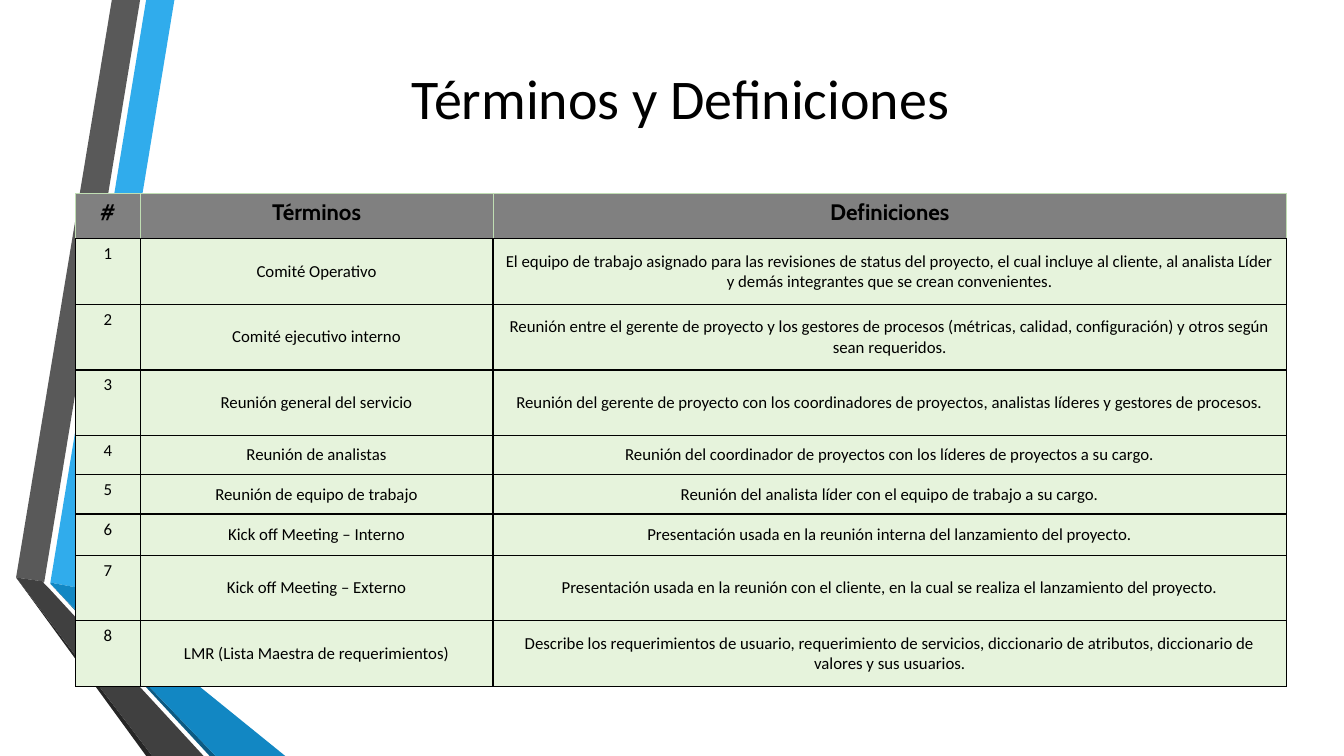
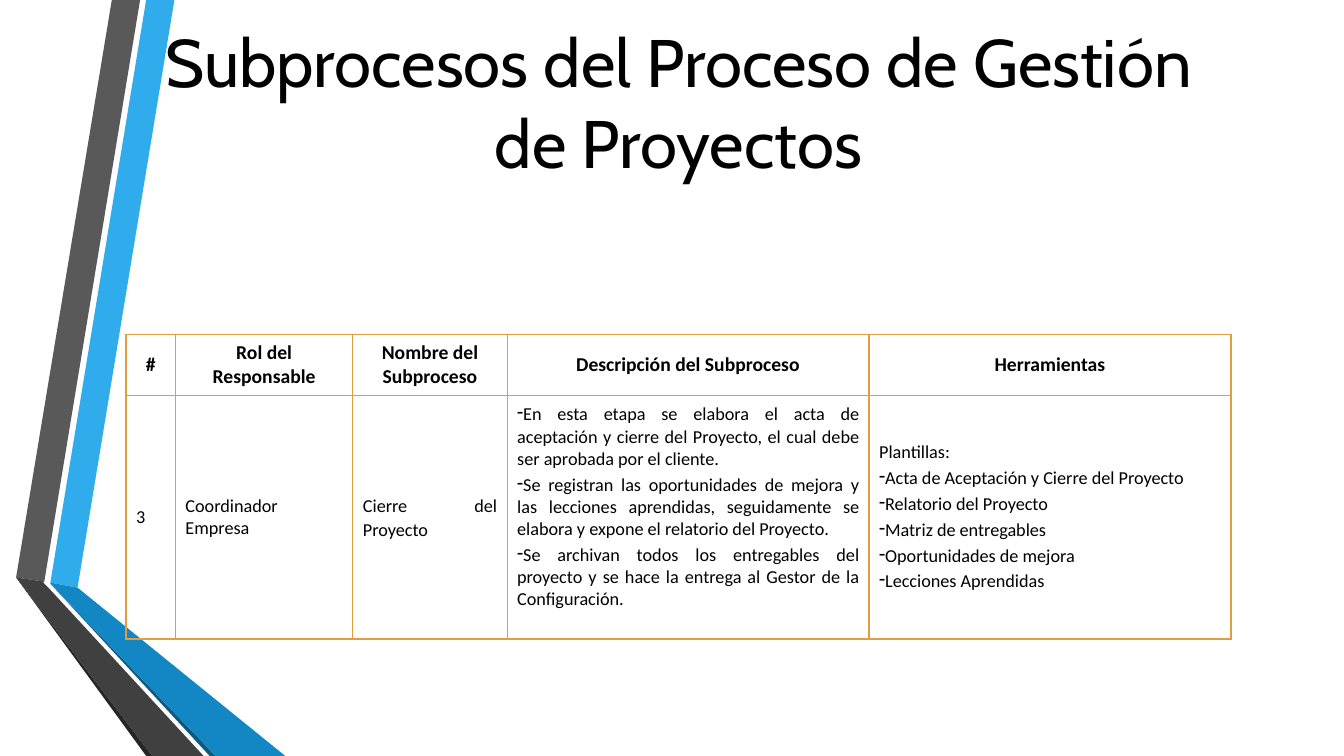
"""Build two slides with a folded ribbon, a title and a bordered table."""
import pptx
import pptx.dml.color
import pptx.enum.text
import pptx.oxml
import pptx.oxml.ns
import pptx.util

PX = 9144
BLACK = "000000"
ALIGN = pptx.enum.text.PP_ALIGN
ANCHOR = pptx.enum.text.MSO_ANCHOR

RIBBON = [
    ("30ACEC", [(50, 578), (77, 583), (173, 0), (145, 0)]),
    ("595959", [(139, 0), (111, 0), (16, 573), (44, 577)]),
    ("262626", [(16, 573), (145, 750), (151, 750)]),
    ("0C5A82", [(50, 579), (208, 750), (214, 750)]),
    ("1287C3", [(50, 579), (214, 750), (283, 750), (77, 583), (50, 578)]),
    ("404040", [(202, 750), (48, 583), (43, 578), (44, 577), (16, 573), (151, 750)]),
]

TERMS = [
    ["#", "Términos", "Definiciones"],
    ["1", "Comité Operativo",
     "El equipo de trabajo asignado para las revisiones de status del proyecto, el cual incluye "
     "al cliente, al analista Líder y demás integrantes que se crean convenientes."],
    ["2", "Comité ejecutivo interno",
     "Reunión entre el gerente de proyecto y los gestores de procesos (métricas, calidad, "
     "configuración) y otros según sean requeridos."],
    ["3", "Reunión general del servicio",
     "Reunión del gerente de proyecto con los coordinadores de proyectos, analistas líderes y "
     "gestores de procesos."],
    ["4", "Reunión de analistas",
     "Reunión del coordinador de proyectos con los líderes de proyectos a su cargo."],
    ["5", "Reunión de equipo de trabajo",
     "Reunión del analista líder con el equipo de trabajo a su cargo."],
    ["6", "Kick off Meeting – Interno",
     "Presentación usada en la reunión interna del lanzamiento del proyecto."],
    ["7", "Kick off Meeting – Externo",
     "Presentación usada en la reunión con el cliente, en la cual se realiza el lanzamiento "
     "del proyecto."],
    ["8", "LMR (Lista Maestra de requerimientos)",
     "Describe los requerimientos de usuario, requerimiento de servicios, diccionario de "
     "atributos, diccionario de valores y sus usuarios."],
]

SUBPROCESSES = [
    ["#", "Rol del Responsable", "Nombre del Subproceso", "Descripción del Subproceso",
     "Herramientas"],
    ["3", "Coordinador Empresa", "Cierre del Proyecto",
     "-En esta etapa se elabora el acta de aceptación y cierre del Proyecto, el cual debe ser "
     "aprobada por el cliente.\n"
     "-Se registran las oportunidades de mejora y las lecciones aprendidas, seguidamente se "
     "elabora y expone el relatorio del Proyecto.\n"
     "-Se archivan todos los entregables del proyecto y se hace la entrega al Gestor de la "
     "Configuración.",
     "Plantillas:\n-Acta de Aceptación y Cierre del Proyecto\n-Relatorio del Proyecto\n"
     "-Matriz de entregables\n-Oportunidades de mejora\n-Lecciones Aprendidas"],
]

SLIDES = [
    dict(title="Términos y Definiciones", title_at=(127, 0), title_font="Calibri", title_size=40,
         rows=TERMS, at=(75, 192), widths=[64, 350, 787],
         heights=[45, 65, 65, 65, 39, 39, 41, 65, 65],
         head=("Cabin", 16), body=("Calibri", 12), body_align=ALIGN.CENTER,
         fills=("808080", "E6F3DC"), border=BLACK, head_border="C0DEB3"),
    dict(title="Subprocesos del Proceso de Gestión de Proyectos", title_at=(125, 4),
         title_font="Cabin", title_size=48,
         rows=SUBPROCESSES, at=(125, 332), widths=[49, 176, 153, 359, 359], heights=[60, 242],
         head=("Calibri", 14), body=("Calibri", 13), body_align=ALIGN.JUSTIFY,
         fills=None, border="E29D3E", head_border="E29D3E"),
]


def rgb(color):
    return pptx.dml.color.RGBColor.from_string(color)


def add_text(p, text, font, size, align, bold=False):
    if text.startswith("-"):
        pPr = p._p.get_or_add_pPr()
        pPr.set("marL", "0")
        pPr.set("indent", "0")
        bullet = pptx.oxml.parse_xml(f'<a:buChar {pptx.oxml.ns.nsdecls("a")} char="-"/>')
        pPr.append(bullet)
        text = text[1:]
    p.alignment = align
    r = p.add_run()
    r.text = text
    r.font.name = font
    r.font.size = pptx.util.Pt(size)
    r.font.bold = bold
    r.font.color.rgb = rgb(BLACK)


prs = pptx.Presentation()
prs.slide_width = 1333 * PX
prs.slide_height = 750 * PX

for d in SLIDES:
    s = prs.slides.add_slide(prs.slide_layouts[6])

    for color, points in RIBBON:
        fb = s.shapes.build_freeform(*points[0], scale=PX)
        fb.add_line_segments(points[1:], close=True)
        sp = fb.convert_to_shape()
        sp.shadow.inherit = False
        sp.fill.solid()
        sp.fill.fore_color.rgb = rgb(color)
        sp.line.fill.background()

    x, y = d["title_at"]
    tf = s.shapes.add_textbox(x * PX, y * PX, 1096 * PX, 192 * PX).text_frame
    tf.word_wrap = True
    tf.vertical_anchor = ANCHOR.MIDDLE
    add_text(tf.paragraphs[0], d["title"], d["title_font"], d["title_size"], ALIGN.CENTER)

    x, y = d["at"]
    widths, heights = d["widths"], d["heights"]
    table = s.shapes.add_table(len(heights), len(widths), x * PX, y * PX,
                               sum(widths) * PX, sum(heights) * PX).table
    table.first_row = False
    table.horz_banding = False
    for column, width in zip(table.columns, widths):
        column.width = width * PX
    for row, height in zip(table.rows, heights):
        row.height = height * PX

    for i, texts in enumerate(d["rows"]):
        is_head = i == 0
        font, size = d["head"] if is_head else d["body"]
        align = ALIGN.CENTER if is_head else d["body_align"]
        for j, text in enumerate(texts):
            cell = table.cell(i, j)
            on_top = d["rows"] is TERMS and (is_head or j == 0)
            cell.vertical_anchor = ANCHOR.TOP if on_top else ANCHOR.MIDDLE

            tcPr = cell._tc.get_or_add_tcPr()
            for side in "LRTB":
                light = is_head and side != "B"
                color = d["head_border"] if light else d["border"]
                width = 9525 if light and d["rows"] is TERMS else 12700
                tcPr.append(pptx.oxml.parse_xml(
                    f'<a:ln{side} {pptx.oxml.ns.nsdecls("a")} w="{width}">'
                    f'<a:solidFill><a:srgbClr val="{color}"/></a:solidFill></a:ln{side}>'))

            if d["fills"]:
                cell.fill.solid()
                cell.fill.fore_color.rgb = rgb(d["fills"][0 if is_head else 1])
            else:
                cell.fill.background()

            for n, line in enumerate(text.split("\n")):
                p = cell.text_frame.paragraphs[0] if n == 0 else cell.text_frame.add_paragraph()
                add_text(p, line, font, size, align, is_head)
                if n:
                    p.space_before = pptx.util.Pt(2.6)

    if d["rows"] is SUBPROCESSES:
        table.cell(1, 2).text_frame.paragraphs[0].line_spacing = 1.1
        table.cell(1, 3).margin_bottom = 25 * PX

prs.save("out.pptx")
